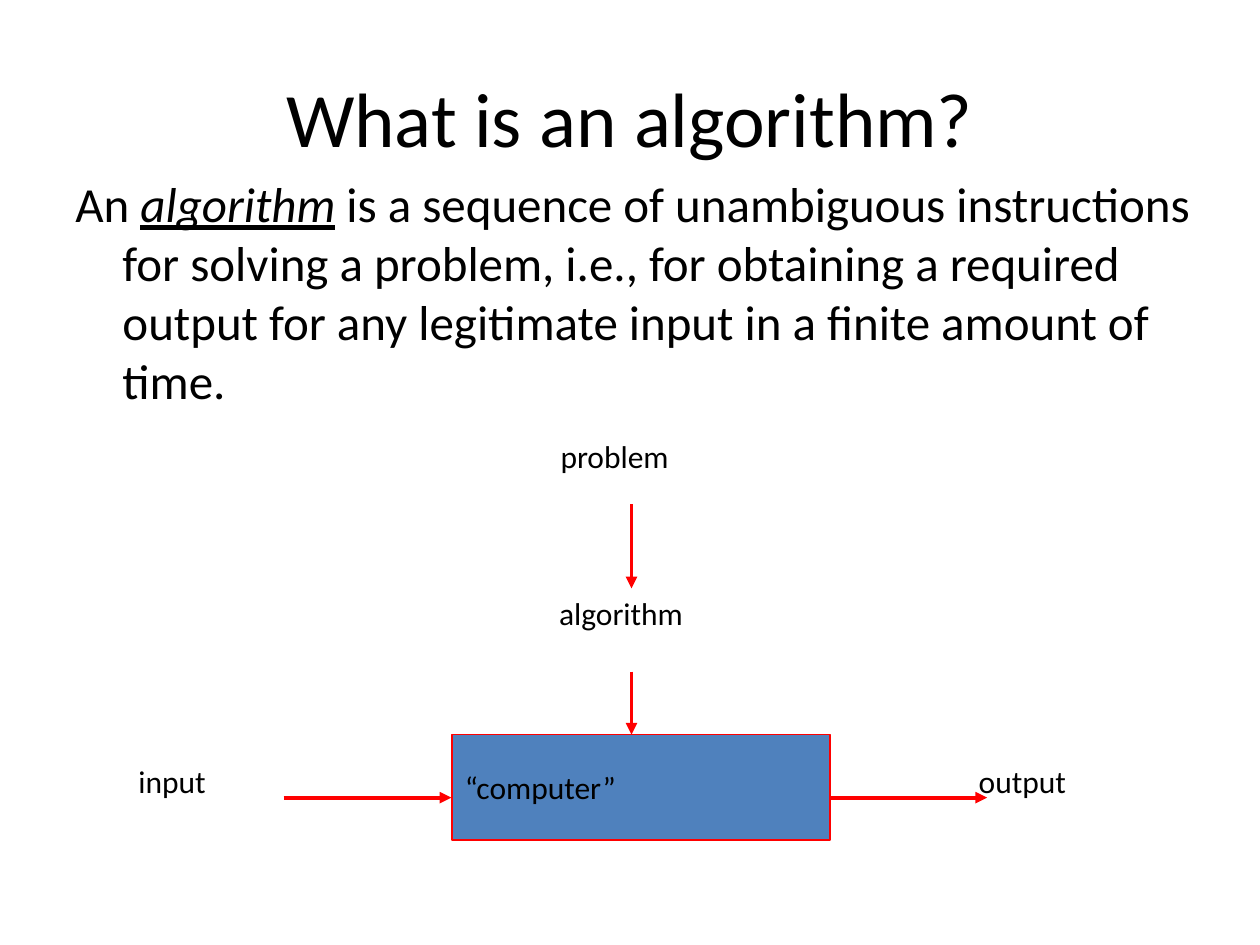
"""Build a slide that defines an algorithm and shows its flow diagram."""
from typing import NamedTuple

import lxml.etree
import pptx
import pptx.dml.color
import pptx.enum.shapes
import pptx.enum.text
import pptx.oxml.ns
import pptx.util

Cm = pptx.util.Cm
Pt = pptx.util.Pt
FONT = "Calibri"
BLACK = "000000"
BLUE = "4F81BD"
RED = "FF0000"


class Label(NamedTuple):
    text: str
    left: float
    top: float
    width: float
    wrap: bool = True


class Arrow(NamedTuple):
    start: tuple[float, float]
    end: tuple[float, float]


FLOW_X = 12.73
FLOW_Y = 16.08
LABELS = [
    Label("problem", 11.05, 8.69, 3.56),
    Label("algorithm", 11.02, 11.86, 3.05, wrap=False),
    Label("input", 2.54, 15.24, 3.33),
    Label("output", 19.48, 15.24, 3.33),
]
ARROWS = [
    Arrow((FLOW_X, 10.16), (FLOW_X, 11.86)),
    Arrow((FLOW_X, 13.54), (FLOW_X, 14.81)),
    Arrow((5.72, FLOW_Y), (9.1, FLOW_Y)),
    Arrow((16.72, FLOW_Y), (19.9, FLOW_Y)),
]


def color(value: str) -> pptx.dml.color.RGBColor:
    return pptx.dml.color.RGBColor.from_string(value)


def format_paragraph(paragraph, size: float) -> None:
    paragraph.font.name = FONT
    paragraph.font.size = Pt(size)
    paragraph.font.color.rgb = color(BLACK)


def add_title(page, text: str) -> None:
    title = page.shapes.title
    title.left, title.top, title.width, title.height = Cm(1.27), Cm(0.76), Cm(22.86), Cm(3.18)
    title.text_frame.text = text
    title.text_frame.vertical_anchor = pptx.enum.text.MSO_ANCHOR.MIDDLE
    paragraph = title.text_frame.paragraphs[0]
    paragraph.alignment = pptx.enum.text.PP_ALIGN.CENTER
    format_paragraph(paragraph, 44)


def add_definition(page) -> None:
    box = page.shapes.add_textbox(Cm(1.27), Cm(3.38), Cm(24.13), Cm(14.25))
    box.text_frame.word_wrap = True
    paragraph = box.text_frame.paragraphs[0]
    properties = paragraph._p.get_or_add_pPr()
    properties.set("marL", str(Cm(0.95)))
    properties.set("indent", str(-Cm(0.95)))
    format_paragraph(paragraph, 28)
    paragraph.add_run().text = "An "
    term = paragraph.add_run()
    term.text = "algorithm"
    term.font.italic = True
    term.font.underline = True
    paragraph.add_run().text = (
        " is a sequence of unambiguous instructions for solving a problem, i.e., "
        "for obtaining a required output for any legitimate input in a finite amount of time."
    )


def add_computer(page) -> None:
    box = page.shapes.add_shape(
        pptx.enum.shapes.MSO_SHAPE.RECTANGLE, Cm(9.12), Cm(14.81), Cm(7.62), Cm(2.12)
    )
    box.shadow.inherit = False
    box.fill.solid()
    box.fill.fore_color.rgb = color(BLUE)
    box.line.color.rgb = color(RED)
    box.line.width = Pt(1)
    frame = box.text_frame
    frame.text = "“computer”"
    frame.word_wrap = False
    frame.vertical_anchor = pptx.enum.text.MSO_ANCHOR.MIDDLE
    frame.paragraphs[0].alignment = pptx.enum.text.PP_ALIGN.LEFT
    format_paragraph(frame.paragraphs[0], 18)


def add_label(page, label: Label) -> None:
    box = page.shapes.add_textbox(Cm(label.left), Cm(label.top), Cm(label.width), Cm(1.02))
    frame = box.text_frame
    frame.text = label.text
    frame.word_wrap = label.wrap
    frame.auto_size = pptx.enum.text.MSO_AUTO_SIZE.SHAPE_TO_FIT_TEXT
    format_paragraph(frame.paragraphs[0], 18)


def add_arrow(page, arrow: Arrow) -> None:
    points = [Cm(value) for value in (*arrow.start, *arrow.end)]
    connector = page.shapes.add_connector(pptx.enum.shapes.MSO_CONNECTOR.STRAIGHT, *points)
    connector.line.color.rgb = color(RED)
    connector.line.width = Pt(2.25)
    qn = pptx.oxml.ns.qn
    properties = connector._element.spPr
    lxml.etree.SubElement(properties.find(qn("a:ln")), qn("a:tailEnd"), type="triangle")
    lxml.etree.SubElement(properties, qn("a:effectLst"))


def main() -> None:
    deck = pptx.Presentation()
    deck.slide_width, deck.slide_height = Cm(25.4), Cm(19.05)
    page = deck.slides.add_slide(deck.slide_layouts.get_by_name("Title Only"))
    add_title(page, "What is an algorithm?")
    add_definition(page)
    add_computer(page)
    for label in LABELS:
        add_label(page, label)
    for arrow in ARROWS:
        add_arrow(page, arrow)
    deck.save("out.pptx")


if __name__ == "__main__":
    main()
